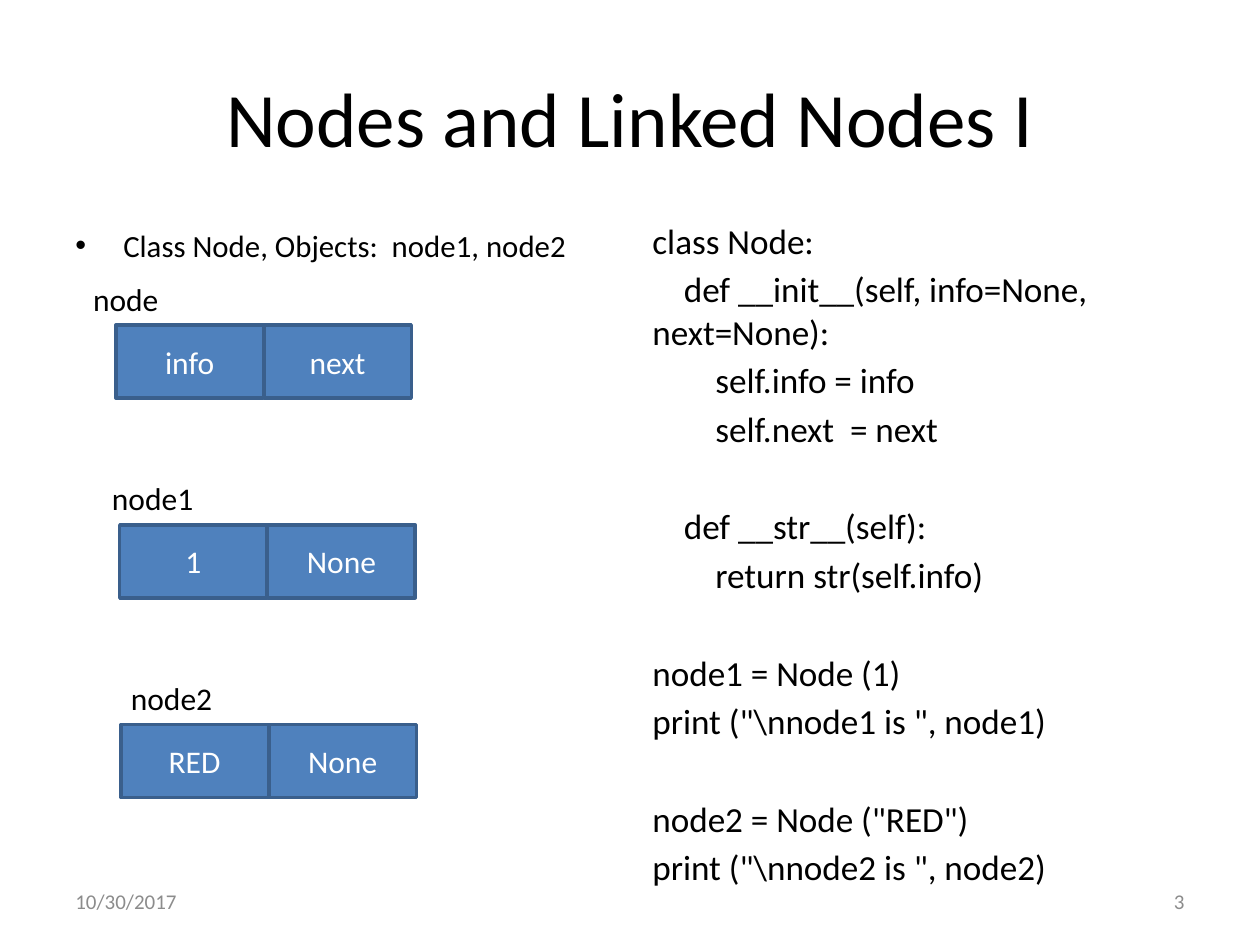
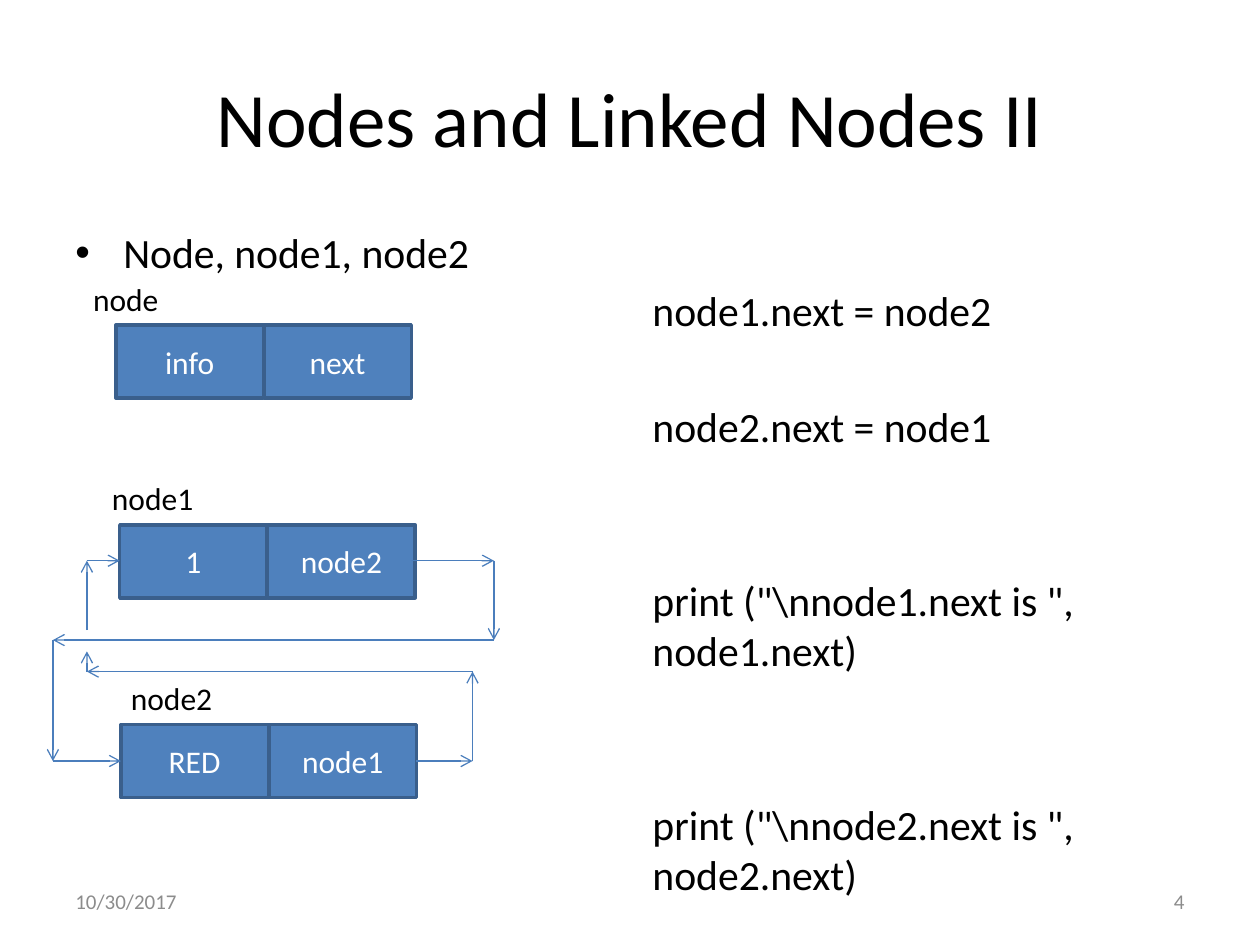
"""Build two slides about nodes and linked nodes."""
from dataclasses import dataclass

from lxml import etree
from pptx import Presentation
from pptx import util as u
from pptx.dml import color
from pptx.enum import shapes, text
from pptx.oxml import ns


@dataclass(frozen=True)
class Theme:
    font: str = "Calibri"
    ink: str = "000000"
    paper: str = "FFFFFF"
    fill: str = "4F81BD"
    border: str = "3A5F8C"
    arrow: str = "4B7EBC"
    muted: str = "8C8C8C"
    title_size: float = 44
    label_size: float = 18
    footer_size: float = 12
    line_factor: float = 1.22
    gap_factor: float = 0.18


theme = Theme()
LEFT, CENTER, RIGHT = text.PP_ALIGN.LEFT, text.PP_ALIGN.CENTER, text.PP_ALIGN.RIGHT
TOP, MIDDLE = text.MSO_ANCHOR.TOP, text.MSO_ANCHOR.MIDDLE


def write(shape, lines, size, ink=theme.ink, align=LEFT, anchor=TOP):
    frame = shape.text_frame
    frame.text = "\n".join(lines)
    frame.word_wrap = True
    frame.auto_size = text.MSO_AUTO_SIZE.NONE
    frame.vertical_anchor = anchor
    for paragraph in frame.paragraphs:
        paragraph.alignment = align
        for run in paragraph.runs:
            run.font.name = theme.font
            run.font.size = u.Pt(size)
            run.font.color.rgb = color.RGBColor.from_string(ink)
    return frame


def add_text(slide, box, lines, size, **style):
    shape = slide.shapes.add_textbox(*map(u.Inches, box))
    return write(shape, lines, size, **style)


pages = [
    {
        "title": "Nodes and Linked Nodes I",
        "number": "3",
        "bullet": "Class Node, Objects:  node1, node2",
        "bullet_size": 17.6,
        "code_size": 20.1,
        "code_top": 1.69,
        "code_inset": 0.05,
        "code": [
            (0, 0, "class Node:"),
            (0, 1, "def __init__(self, info=None, next=None):"),
            (0, 2, "self.info = info"),
            (0, 2, "self.next  = next"),
            (1, 1, "def __str__(self):"),
            (0, 2, "return str(self.info)"),
            (1, 0, "node1 = Node (1)"),
            (0, 0, 'print ("\\nnode1 is ", node1)'),
            (1, 0, 'node2 = Node ("RED")'),
            (0, 0, 'print ("\\nnode2 is ", node2)'),
        ],
        "links": ("None", "None"),
        "routes": [],
    },
    {
        "title": "Nodes and Linked Nodes II",
        "number": "4",
        "bullet": "Node, node1, node2",
        "bullet_size": 23.8,
        "code_size": 23.8,
        "code_top": 1.75,
        "code_inset": 0.51,
        "code": [
            (0, 0, "node1.next = node2"),
            (1, 0, "node2.next = node1"),
            (2, 0, 'print ("\\nnode1.next is ", node1.next)'),
            (2, 0, 'print ("\\nnode2.next is ", node2.next)'),
        ],
        "links": ("node2", "node1"),
        "routes": [
            [(3.26, 4.45), (3.92, 4.45), (3.92, 5.08), (0.42, 5.08), (0.42, 6.04), (0.96, 6.04)],
            [(3.3, 6.04), (3.75, 6.04), (3.75, 5.33), (0.69, 5.33), (0.69, 5.17)],
            [(0.69, 5), (0.69, 4.45), (0.95, 4.45)],
        ],
    },
]

presentation = Presentation()
presentation.slide_width = u.Inches(10)
presentation.slide_height = u.Inches(7.5)

for page in pages:
    slide = presentation.slides.add_slide(presentation.slide_layouts[5])
    title = slide.shapes.title
    title.left, title.top, title.width, title.height = map(u.Inches, (0.5, 0.3, 9, 1.25))
    write(title, [page["title"]], theme.title_size, align=CENTER, anchor=MIDDLE)

    frame = add_text(slide, (0.5, 1.75, 4.42, 4.95), [page["bullet"]], page["bullet_size"])
    properties = frame.paragraphs[0]._p.get_or_add_pPr()
    properties.set("marL", str(u.Inches(0.38)))
    properties.set("indent", str(u.Inches(-0.38)))
    bullet_font = etree.SubElement(properties, ns.qn("a:buFont"))
    bullet_font.set("typeface", "Arial")
    etree.SubElement(properties, ns.qn("a:buChar")).set("char", "•")

    size = page["code_size"]
    gap = theme.gap_factor * size
    skipped_line = theme.line_factor * size + gap
    code_lines = [line for _, _, line in page["code"]]
    frame = add_text(slide, (5.08, page["code_top"], 4.42, 4.95), code_lines, size)
    frame.margin_top = u.Inches(page["code_inset"])
    for paragraph, (skipped, level, _) in zip(frame.paragraphs, page["code"]):
        paragraph.space_before = u.Pt(gap + skipped * skipped_line)
        properties = paragraph._p.get_or_add_pPr()
        properties.set("marL", "0")
        properties.set("indent", str(u.Inches(0.25 * level)))

    nodes = [
        ("node", 0.92, ("info", "next")),
        ("node1", 0.95, ("1", page["links"][0])),
        ("node2", 0.96, ("RED", page["links"][1])),
    ]
    for row, (name, left, values) in enumerate(nodes):
        top = 2.58 + 1.585 * row
        for column, value in enumerate(values):
            box = (left + 1.175 * column, top, 1.17, 0.58)
            cell = slide.shapes.add_shape(shapes.MSO_SHAPE.RECTANGLE, *map(u.Inches, box))
            cell.shadow.inherit = False
            cell.fill.solid()
            cell.fill.fore_color.rgb = color.RGBColor.from_string(theme.fill)
            cell.line.color.rgb = color.RGBColor.from_string(theme.border)
            cell.line.width = u.Pt(2)
            write(cell, [value], theme.label_size, theme.paper, CENTER, MIDDLE)
        label_box = (0.64 + 0.15 * row, top - 0.41, 1.42, 0.42)
        frame = add_text(slide, label_box, [name], theme.label_size)
        frame.auto_size = text.MSO_AUTO_SIZE.SHAPE_TO_FIT_TEXT

    for route in page["routes"]:
        for start, end in zip(route, route[1:]):
            connector = slide.shapes.add_connector(
                shapes.MSO_CONNECTOR.STRAIGHT, *map(u.Inches, start + end)
            )
            connector.line.color.rgb = color.RGBColor.from_string(theme.arrow)
            connector.line.width = u.Pt(0.75)
            tail = etree.SubElement(connector.line._get_or_add_ln(), ns.qn("a:tailEnd"))
            tail.set("type", "arrow")
            etree.SubElement(connector._element.spPr, ns.qn("a:effectLst"))

    for left, line, align in ((0.5, "10/30/2017", LEFT), (7.17, page["number"], RIGHT)):
        box = (left, 6.95, 2.33, 0.4)
        add_text(slide, box, [line], theme.footer_size, ink=theme.muted, align=align, anchor=MIDDLE)

presentation.save("out.pptx")
